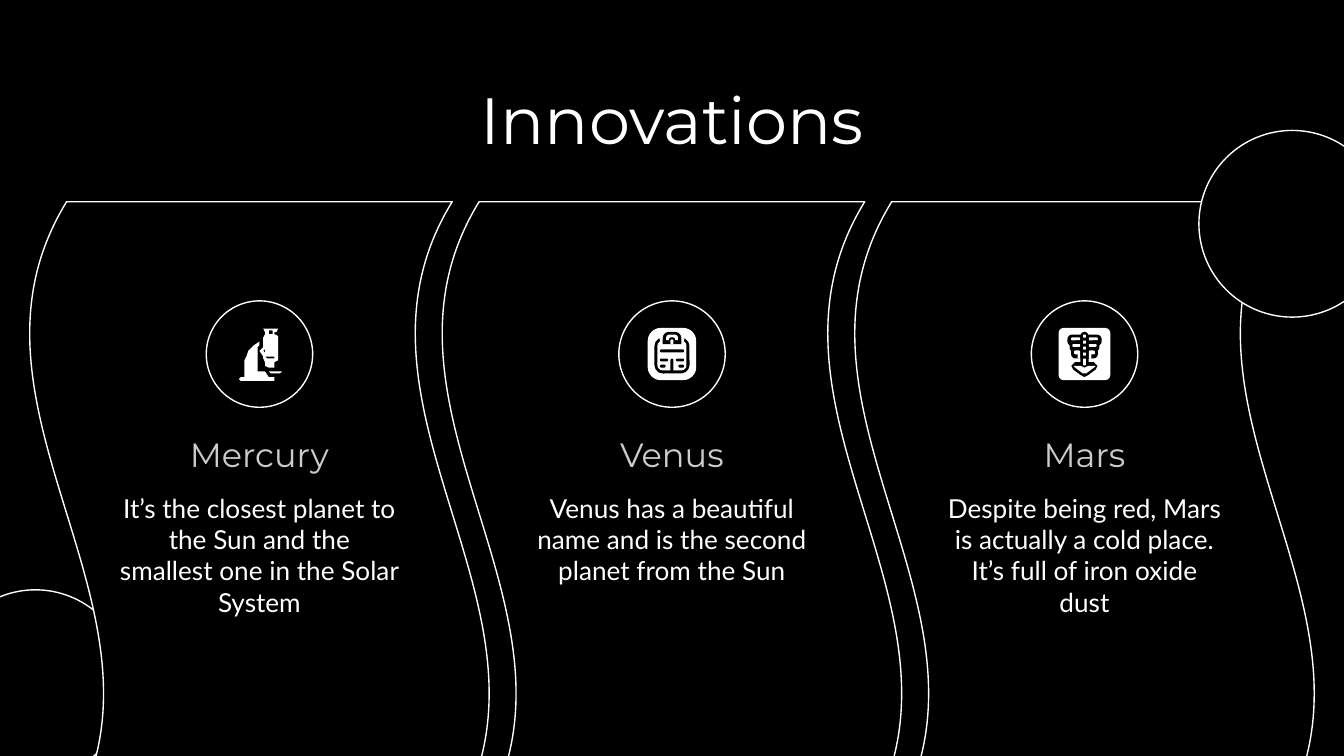
from pptx import Presentation
from pptx.dml.color import RGBColor
from pptx.enum.shapes import MSO_SHAPE as SHAPE
from pptx.enum.text import MSO_ANCHOR as ANCHOR, PP_ALIGN as ALIGN
from pptx.util import Pt

BLACK, WHITE, GREY = "000000", "FFFFFF", "CCCCCC"
TITLE = "Innovations"

# Icon parts are relative to the icon centre: polygons are (colour, contours),
# presets are (colour, shape, corner ratio, left, top, width, height).
MICROSCOPE = [
    (WHITE, [
        [(2.5, -14), (9, -14), (10.4, -13.2), (9, -11.9), (8.3, -11.9), (8.3, -10.4),
         (10, -9.6), (10.4, -8.3), (10.4, 1.8), (10, 3.2), (8.3, 4), (8.3, 6.8),
         (7.6, 7.6), (4.7, 7.6), (3.2, 6.8), (3.2, 4), (1.8, 1.8), (1.8, 1.1),
         (0.4, -1.8), (1.8, -4), (1.8, -8.3), (3.2, -10.4), (3.2, -11.9), (1.8, -13.2)],
        [(5.4, -12.6), (6.8, -12.6), (6.8, -10.4), (5.4, -10.4)],
        [(2.5, -2.5), (3.2, -1.6), (2.5, -0.6), (1.8, -1.6)],
        [(3.2, 1.1), (8.3, 1.1), (7.6, 2.3), (4, 2.3)],
    ]),
    (WHITE, [[(4.7, 9), (11.2, 9), (11.9, 9.7), (11.2, 10.4), (6.1, 10.4)]]),
    (WHITE, [
        [(0.4, -6.8), (-3, -5), (-6, -1.8), (-7.4, 1.5), (-7.6, 3.5), (-7.6, 12.6),
         (-10.4, 12.6), (-11.2, 13.3), (-10.4, 14), (7.6, 14), (8.3, 13.3),
         (7.6, 12.6), (4.7, 12.6), (3.2, 9.7), (2.5, 9), (-1.1, 9), (-1.1, 1.8),
         (-0.7, 0.4), (-1.3, -1.8), (-0.8, -3.4), (0.4, -4.6)],
    ]),
]

ROUND = SHAPE.ROUNDED_RECTANGLE
SCALE = [
    (WHITE, ROUND, 0.27, -13, -14, 26, 28),
    (BLACK, ROUND, 0.24, -9.4, -8.8, 18.8, 19.2),
    (WHITE, ROUND, 0.18, -7.8, -7.2, 15.6, 16),
    (WHITE, SHAPE.ROUND_2_SAME_RECTANGLE, 0.5, -6.5, -13.5, 13, 9.8),
    (BLACK, SHAPE.ROUND_2_SAME_RECTANGLE, 0.5, -5, -11.9, 10, 6.6),
    (WHITE, SHAPE.ROUND_2_SAME_RECTANGLE, 0.5, -3.1, -10.4, 6.2, 3),
    (BLACK, SHAPE.ROUND_2_SAME_RECTANGLE, 0.5, -1.5, -8.9, 3, 1.7),
    (WHITE, ROUND, 0.4, -0.8, -7.8, 1.6, 2.6),
    (BLACK, ROUND, 0.5, -6.5, -2.5, 13, 1.6),
    (BLACK, ROUND, 0.5, -6.5, 2.4, 4.4, 1.6),
    (BLACK, ROUND, 0.5, 2.1, 2.4, 4.4, 1.6),
    (BLACK, ROUND, 0.5, -6.5, 5.7, 3.1, 1.6),
    (BLACK, ROUND, 0.5, 3.4, 5.7, 3.1, 1.6),
    (BLACK, ROUND, 0.5, -0.8, 2.4, 1.6, 7),
]

RIBS = [(BLACK, ROUND, 0.4, -9.2, -10.4, 18.4, 6),
        (BLACK, ROUND, 0.4, -8, -6.8, 16, 5.6),
        (BLACK, ROUND, 0.4, -7.2, -3.5, 14.4, 5.8)]
RIB_GAPS = [(-7.2, -8.9, 5, 1.5), (-6.5, -5.4, 4.3, 1.5), (-5.6, -1.9, 3.4, 2.1),
            (-3.7, 0, 1.5, 2.5)]
VERTEBRAE = [(-0.75, top, 1.5, height) for top, height in
             [(-10.4, 1.6), (-7.2, 1.6), (-4, 1.6), (-0.8, 1.6), (2.4, 3.6)]]
XRAY = [
    (WHITE, ROUND, 0.1, -13.9, -14, 27.7, 28),
    *RIBS,
    *[(WHITE, ROUND, 0.4, left, top, width, height)
      for x, top, width, height in RIB_GAPS for left in (x, -x - width)],
    (BLACK, ROUND, 0.5, -2.2, -11.9, 4.4, 19),
    (BLACK, [[(-7.2, 6.1), (-5, 4), (5, 4), (7.2, 6.1), (5.6, 8.8), (2, 11),
              (0, 12), (-2, 11), (-5.6, 8.8)]]),
    (WHITE, [[(-5.6, 6.1), (-2, 6.2), (0, 7.6), (2, 6.2), (5.6, 6.1), (4.6, 7.4),
              (1, 9.8), (0, 10.4), (-1, 9.8), (-4.6, 7.4)]]),
    *[(WHITE, ROUND, 0.2, *box) for box in VERTEBRAE],
]

PLANETS = [
    ("Mercury", "It’s the closest planet to the Sun and the smallest one in the Solar System",
     MICROSCOPE),
    ("Venus", "Venus has a beautiful name and is the second planet from the Sun", SCALE),
    ("Mars", "Despite being red, Mars is actually a cold place. It’s full of iron oxide dust",
     XRAY),
]

MIDDLE, PITCH = 360, 221
ICON_Y, RING = 189.7, 57
WAVE_W, WAVE_H, WAVE_TOP = 334, 247.7, 151.2
BALL = 100
TEXT_W = 164


def rgb(color):
    return RGBColor.from_string(color)


def style(shape, fill, line=None):
    shape.shadow.inherit = False
    shape.fill.solid()
    shape.fill.fore_color.rgb = rgb(fill)
    if line:
        shape.line.color.rgb = rgb(line)
        shape.line.width = Pt(0.75)
    else:
        shape.line.fill.background()


def add_preset(kind, left, top, width, height, fill=BLACK, line=None):
    shape = slide.shapes.add_shape(kind, Pt(left), Pt(top), Pt(width), Pt(height))
    style(shape, fill, line)
    return shape


def add_text(text, left, top, width, height, size, font, color=WHITE, anchor=ANCHOR.TOP):
    frame = slide.shapes.add_textbox(Pt(left), Pt(top), Pt(width), Pt(height)).text_frame
    frame.word_wrap = True
    frame.vertical_anchor = anchor
    frame.margin_left = frame.margin_right = frame.margin_top = frame.margin_bottom = Pt(7.2)
    paragraph = frame.paragraphs[0]
    paragraph.alignment = ALIGN.CENTER
    run = paragraph.add_run()
    run.text = text
    run.font.size, run.font.name = Pt(size), font
    run.font.color.rgb = rgb(color)


def add_wave(center):
    """Panel with wavy sides: a wave turned on its side and mirrored."""
    wave = add_preset(SHAPE.WAVE, center - WAVE_W / 2, WAVE_TOP, WAVE_W, WAVE_H, line=WHITE)
    wave.adjustments[0], wave.adjustments[1] = 0.083, 0
    wave.rotation = 270
    wave._element.spPr.xfrm.set("flipH", "1")


def add_polygon(color, contours, center):
    def place(points):
        return [(center + x, ICON_Y + y) for x, y in points]

    first, *holes = map(place, contours)
    builder = slide.shapes.build_freeform(*first[0], scale=Pt(1))
    builder.add_line_segments(first[1:], close=True)
    for hole in holes:
        builder.move_to(*hole[0])
        builder.add_line_segments(hole[1:], close=True)
    style(builder.convert_to_shape(), color)


def add_icon(parts, center):
    add_preset(SHAPE.OVAL, center - RING / 2, ICON_Y - RING / 2, RING, RING, line=WHITE)
    for color, *part in parts:
        if len(part) == 1:
            add_polygon(color, part[0], center)
        else:
            kind, corner, left, top, width, height = part
            shape = add_preset(kind, center + left, ICON_Y + top, width, height, color)
            shape.adjustments[0] = corner


deck = Presentation()
deck.slide_width, deck.slide_height = Pt(720), Pt(405)
slide = deck.slides.add_slide(deck.slide_layouts[6])
slide.background.fill.solid()
slide.background.fill.fore_color.rgb = rgb(BLACK)

centers = [MIDDLE + PITCH * (i - 1) for i in range(len(PLANETS))]
add_preset(SHAPE.OVAL, -31, 316, BALL, BALL, line=WHITE)
for center in centers:
    add_wave(center)
add_preset(SHAPE.OVAL, 642.3, 69.9, BALL, BALL, line=WHITE)

add_text(TITLE, 56.7, 35.3, 607, 45.4, 35, "Montserrat")
for center, (name, fact, icon) in zip(centers, PLANETS):
    left = center - TEXT_W / 2
    add_text(name, left, 224.6, TEXT_W, 36.7, 18, "Montserrat", GREY, ANCHOR.BOTTOM)
    add_text(fact, left, 256.3, TEXT_W, 56.9, 14, "Lato")
    add_icon(icon, center)

deck.save("out.pptx")
